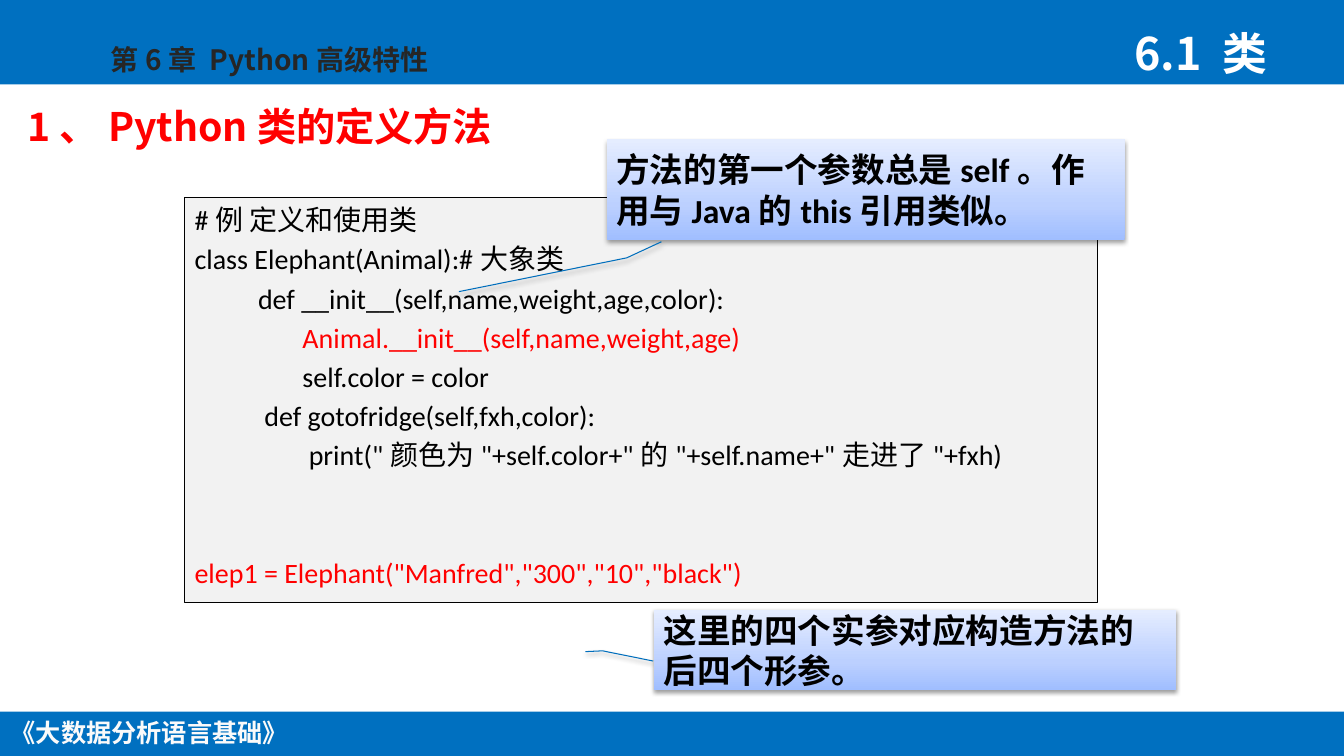
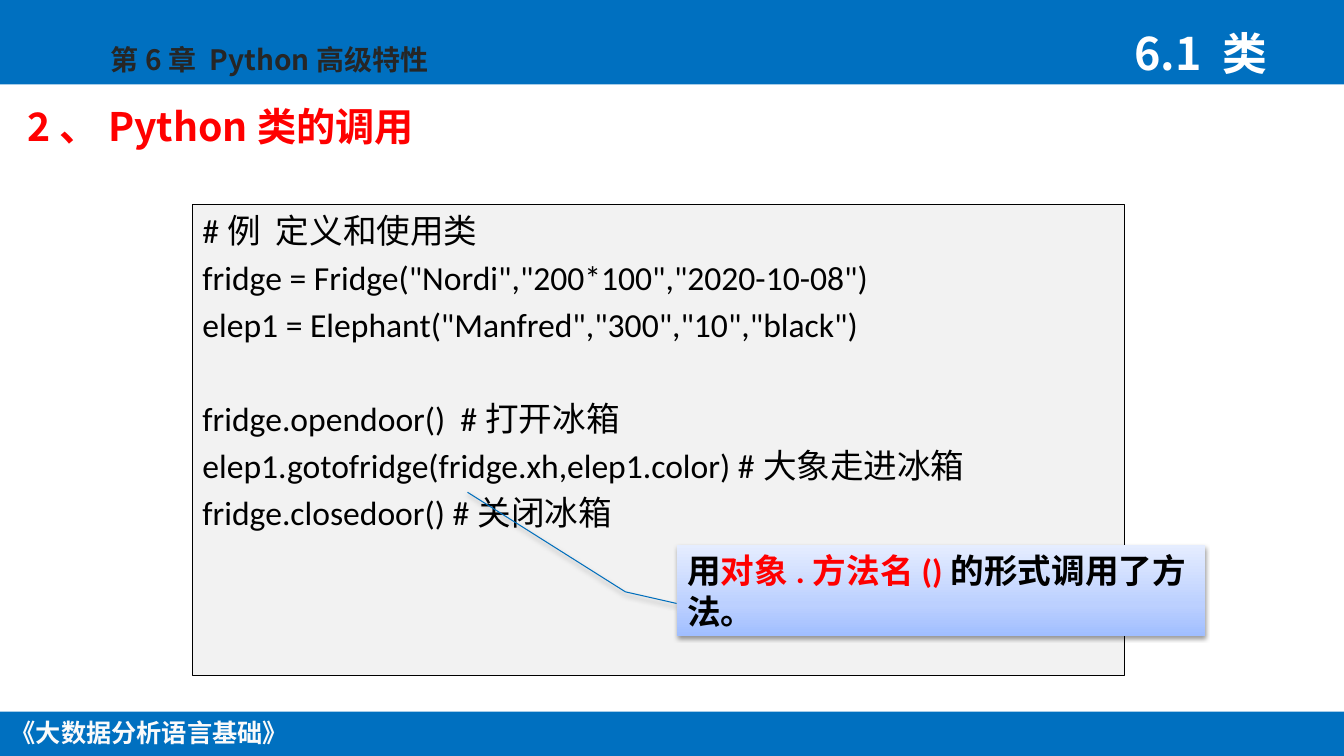
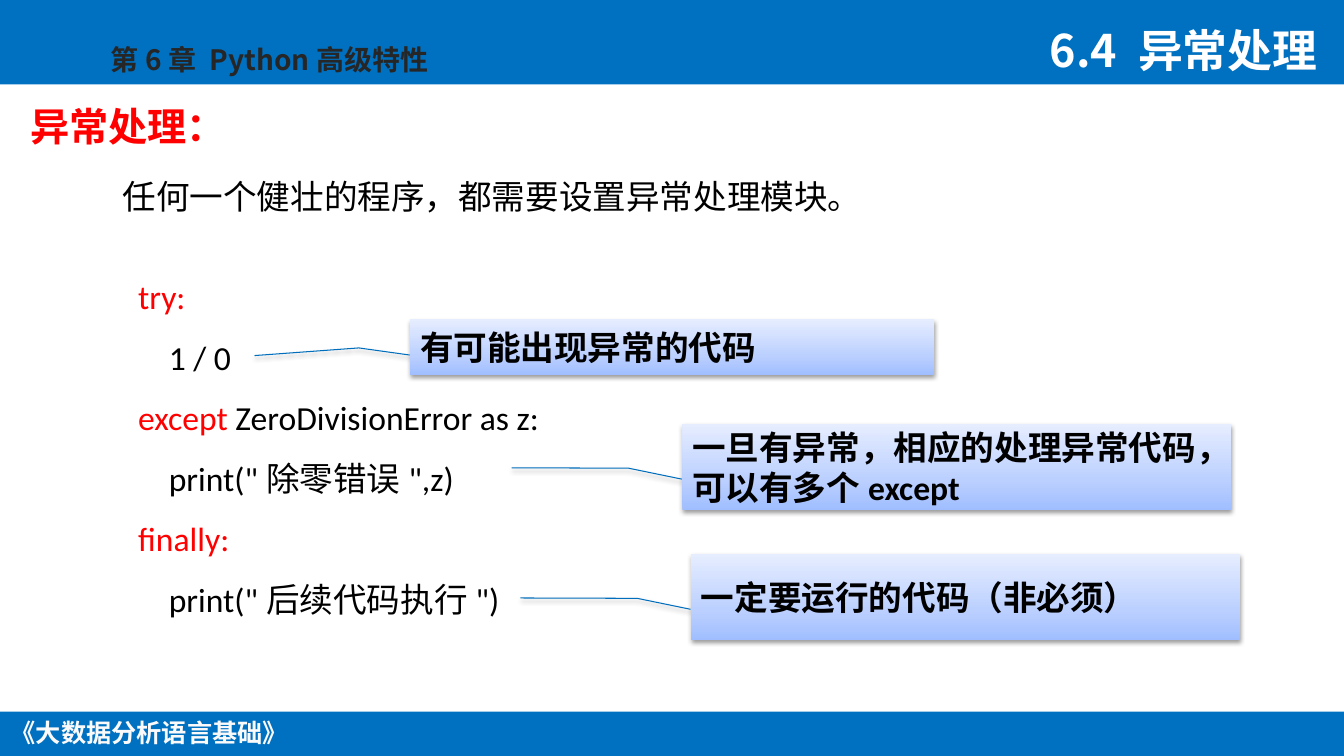
"""Build three lesson slides on Python classes and exception handling."""
from pptx import Presentation
from pptx.dml.color import RGBColor
from pptx.enum import shapes, text
from pptx.oxml import parse_xml
from pptx.oxml.ns import nsdecls
from pptx.util import Cm, Pt

BLUE = RGBColor(0x00, 0x70, 0xC0)
TAIL_BLUE = RGBColor(0x00, 0x6E, 0xBC)
RED = RGBColor(0xFF, 0x00, 0x00)
BLACK = RGBColor(0x00, 0x00, 0x00)
WHITE = RGBColor(0xFF, 0xFF, 0xFF)
NEAR_WHITE = RGBColor(0xFA, 0xFA, 0xFA)
CHARCOAL = RGBColor(0x26, 0x26, 0x26)
CODE_GREY = RGBColor(0xF2, 0xF2, 0xF2)
CALLOUT_STOPS = ((0, RGBColor(0xA0, 0xBE, 0xFF)),
                 (35, RGBColor(0xBC, 0xD0, 0xFF)),
                 (100, RGBColor(0xE5, 0xED, 0xFF)))

CJK = "Noto Sans CJK SC"
LATIN = "Calibri"
PLAIN = {"alignment": text.PP_ALIGN.LEFT}
TITLE = {"alignment": text.PP_ALIGN.LEFT, "line_spacing": 0.9}
CENTRED = {"alignment": text.PP_ALIGN.CENTER}
LOOSE = {"alignment": text.PP_ALIGN.LEFT, "line_spacing": 1.5, "space_before": Pt(0)}
TAIL_START = (0.641, -0.001, 0.513, -0.098)

LESSONS = [
    {
        "section": "6.1 类", "section_box": (28.35, 0.53, 5.61, 1.63),
        "title": "1、Python类的定义方法", "title_left": 0.43,
        "body_box": (4.65, 4.98, 23.01, 10.21), "framed": True,
        "size": 20, "layout": PLAIN,
        "lines": [
            (0, None, "#例 定义和使用类"),
            (0, None, "class Elephant(Animal):#大象类"),
            (1.6, None, "def __init__(self,name,weight,age,color):"),
            (2.72, None, "|Animal.__init__(self,name,weight,age)"),
            (2.72, None, "self.color = color"),
            (1.76, None, "def gotofridge(self,fxh,color):"),
            (2.88, None, 'print("颜色为"+self.color+"的"+self.name+"走进了"+fxh)'),
            (0, 60, '|elep1 = Elephant("Manfred","300","10","black")'),
        ],
        "callouts": [
            ((15.29, 3.51, 13.06, 2.54), (1.017, 0.106, 1.177, 0.039, 1.512, -0.285),
             "方法的第一个参数总是self。作用与Java的this引用类似。"),
            ((16.48, 15.37, 13.16, 2.01), TAIL_START + (0.523, -0.131),
             "这里的四个实参对应构造方法的后四个形参。"),
        ],
    },
    {
        "section": "6.1 类", "section_box": (28.35, 0.53, 5.61, 1.63),
        "title": "2、Python类的调用", "title_left": 0.43,
        "body_box": (4.85, 5.16, 23.5, 11.86), "framed": True,
        "size": 24, "layout": PLAIN,
        "lines": [
            (0, None, "#例  定义和使用类"),
            (0, None, 'fridge = Fridge("Nordi","200*100","2020-10-08")'),
            (0, None, 'elep1 = Elephant("Manfred","300","10","black")'),
            (0, 38.5, "fridge.opendoor()  #打开冰箱"),
            (0, None, "elep1.gotofridge(fridge.xh,elep1.color) #大象走进冰箱"),
            (0, None, "fridge.closedoor() #关闭冰箱"),
        ],
        "callouts": [
            ((17.07, 13.74, 13.31, 2.29), TAIL_START + (-0.583, -0.397),
             "用|对象.方法名()|的形式调用了方法。"),
        ],
    },
    {
        "section": "6.4 异常处理", "section_box": (26.21, 0.46, 7.67, 1.63),
        "title": "异常处理：", "title_left": 0.51,
        "intro": "任何一个健壮的程序，都需要设置异常处理模块。",
        "body_box": (3.23, 6.32, 17.15, 9.47), "framed": False,
        "size": 24, "layout": LOOSE,
        "lines": [
            (0, None, "|try:"),
            (0.77, None, "1 / 0"),
            (0, None, "|except| ZeroDivisionError as z:"),
            (0.77, None, 'print("除零错误",z)'),
            (0, None, "|finally:"),
            (0.77, None, 'print("后续代码执行")'),
        ],
        "callouts": [
            ((10.34, 8.05, 13.21, 1.4), TAIL_START + (0.651, -0.297),
             "有可能出现异常的代码"),
            ((17.2, 10.69, 13.84, 2.16), TAIL_START + (0.509, -0.311),
             "一旦有异常，相应的处理异常代码，可以有多个except"),
            ((17.42, 13.97, 13.84, 2.16), TAIL_START + (0.509, -0.311),
             "一定要运行的代码（非必须）"),
        ],
    },
]


def write(frame, lines, layout, font, colour):
    """Fill a frame with (indent, space before, text) lines; bars switch red on and off."""
    for number, (indent, before, wording) in enumerate(lines):
        para = frame.add_paragraph() if number else frame.paragraphs[0]
        for name, value in layout.items():
            setattr(para, name, value)
        if before:
            para.space_before = Pt(before)
        properties = para._p.get_or_add_pPr()
        properties.set("marL", str(Cm(indent)))
        properties.set("indent", "0")
        properties.append(parse_xml(f"<a:buNone {nsdecls('a')}/>"))
        for turn, part in enumerate(wording.split("|")):
            if part:
                span = para.add_run()
                span.text = part
                for name, value in font.items():
                    setattr(span.font, name, value)
                span.font.color.rgb = RED if turn % 2 else colour
                span._r.get_or_add_rPr().append(
                    parse_xml(f'<a:ea {nsdecls("a")} typeface="{CJK}"/>'))


def set_frame(box, place, anchor, wrap=True):
    """Place a box and set how its text sits; return its text frame."""
    for name, value in zip(("left", "top", "width", "height"), place):
        setattr(box, name, Cm(value))
    frame = box.text_frame
    settings = {"word_wrap": wrap, "vertical_anchor": anchor,
                "auto_size": text.MSO_AUTO_SIZE.NONE}
    for name, value in settings.items():
        setattr(frame, name, value)
    return frame


TOP, MIDDLE = text.MSO_ANCHOR.TOP, text.MSO_ANCHOR.MIDDLE
deck = Presentation()
deck.slide_width, deck.slide_height = Cm(33.88), Cm(19.05)
pages = [deck.slides.add_slide(deck.slide_layouts[1]) for lesson in LESSONS]

master_tree = deck.slide_master.shapes.element
for top, height in ((0, 2.13), (17.93, 1.12)):
    band = pages[0].shapes.add_shape(
        shapes.MSO_SHAPE.RECTANGLE, 0, Cm(top), deck.slide_width, Cm(height))
    band.fill.solid()
    band.fill.fore_color.rgb = BLUE
    band.line.fill.background()
    band.shadow.inherit = False
    master_tree.append(band.element)

footer = pages[0].shapes.add_textbox(0, 0, 0, 0)
write(set_frame(footer, (-0.02, 17.96, 7.57, 1.02), TOP, False),
      [(0, None, "《大数据分析语言基础》")], CENTRED,
      {"size": Pt(18), "bold": True, "name": CJK}, NEAR_WHITE)
master_tree.append(footer.element)

stops = "".join(f'<a:gs pos="{place * 1000}"><a:srgbClr val="{colour}"/></a:gs>'
                for place, colour in CALLOUT_STOPS)
gradient = (f'<a:gradFill {nsdecls("a")} rotWithShape="1"><a:gsLst>{stops}</a:gsLst>'
            '<a:lin ang="16200000" scaled="0"/></a:gradFill>')
shadow = (f'<a:effectLst {nsdecls("a")}><a:outerShdw blurRad="{Pt(3.1)}" dist="{Pt(1.6)}" '
          'dir="5400000" rotWithShape="0"><a:srgbClr val="000000"><a:alpha val="38000"/>'
          '</a:srgbClr></a:outerShdw></a:effectLst>')

for page, lesson in zip(pages, LESSONS):
    labels = [
        ((2.54, 0.94, 9.6, 1.12), "第6章 Python高级特性", 20, True, CHARCOAL),
        (lesson["section_box"], lesson["section"], 32, True, WHITE),
    ]
    if "intro" in lesson:
        labels.append(((2.84, 4.32, 23.52, 1.6), lesson["intro"], 24, False, BLACK))
    for place, wording, size, bold, colour in labels:
        label = page.shapes.add_textbox(0, 0, 0, 0)
        write(set_frame(label, place, TOP), [(0, None, wording)], PLAIN,
              {"size": Pt(size), "bold": bold, "name": CJK}, colour)

    title_place = (lesson["title_left"], 2.16, 29.21, 2.16)
    write(set_frame(page.shapes.title, title_place, MIDDLE), [(0, None, lesson["title"])],
          TITLE, {"size": Pt(28), "bold": True, "name": CJK}, RED)

    body = page.placeholders[1]
    write(set_frame(body, lesson["body_box"], TOP), lesson["lines"], lesson["layout"],
          {"size": Pt(lesson["size"]), "name": LATIN}, BLACK)
    if lesson["framed"]:
        body.fill.solid()
        body.fill.fore_color.rgb = CODE_GREY
        body.line.color.rgb = BLACK
        body.line.width = Pt(1)

    for place, tail, wording in lesson["callouts"]:
        callout = page.shapes.add_shape(
            shapes.MSO_SHAPE.LINE_CALLOUT_2_NO_BORDER, *map(Cm, place))
        for number, value in enumerate(tail):
            callout.adjustments[number] = value
        callout.line.color.rgb = TAIL_BLUE
        callout.line.width = Pt(0.75)
        properties = callout.element.spPr
        properties.insert(2, parse_xml(gradient))
        properties.append(parse_xml(shadow))
        write(set_frame(callout, place, MIDDLE), [(0, None, wording)], PLAIN,
              {"size": Pt(24), "bold": True, "name": LATIN}, BLACK)

deck.save("out.pptx")
